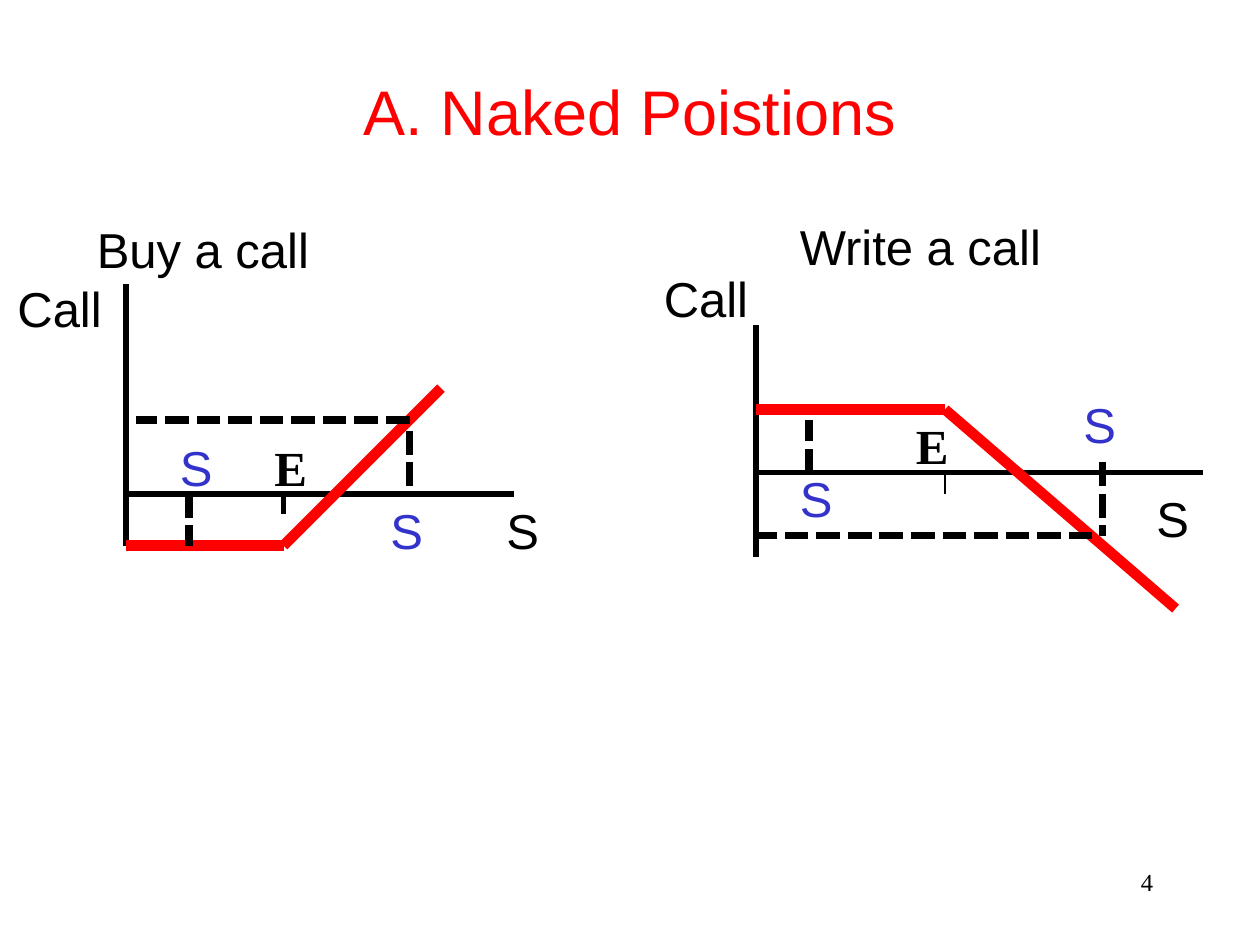
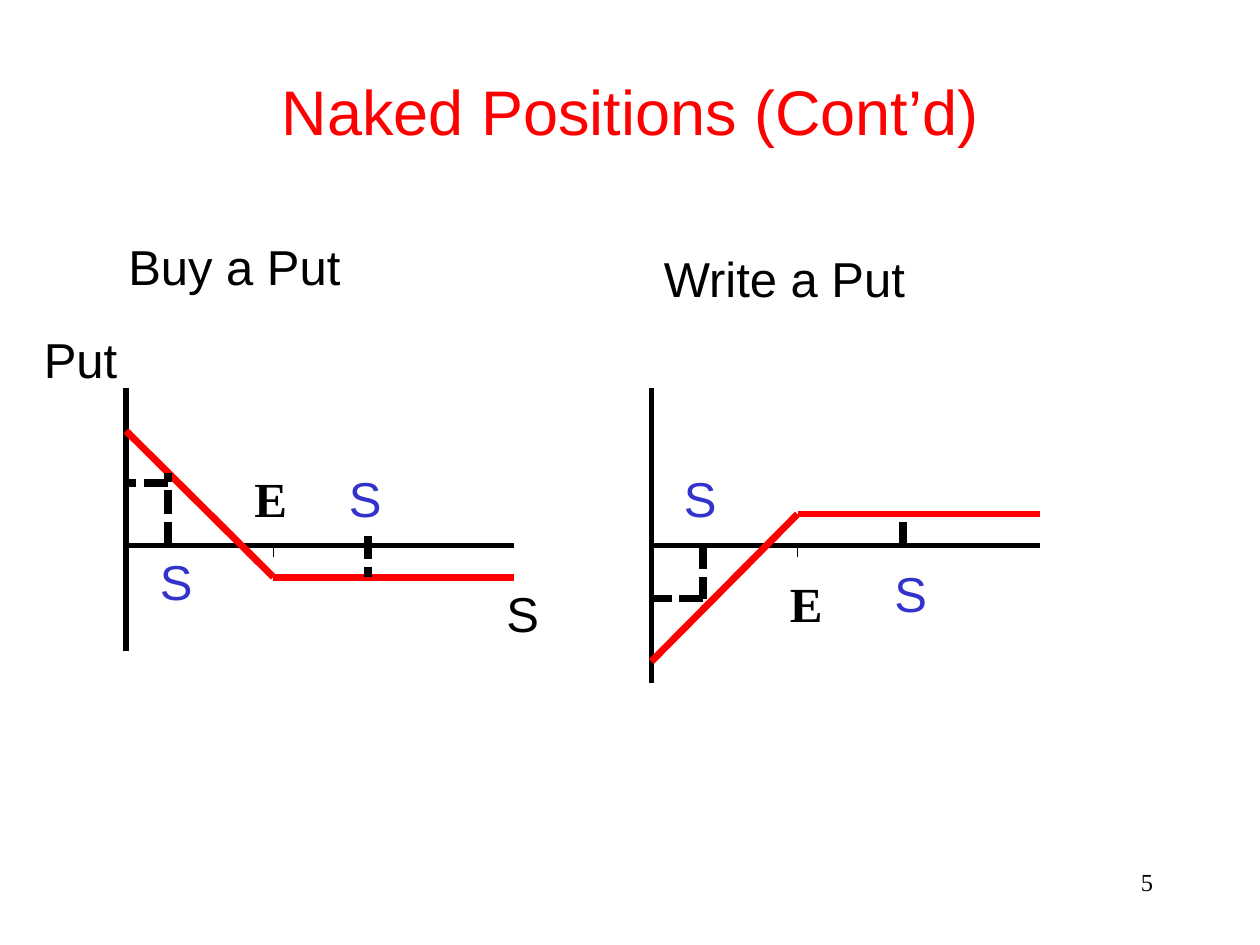
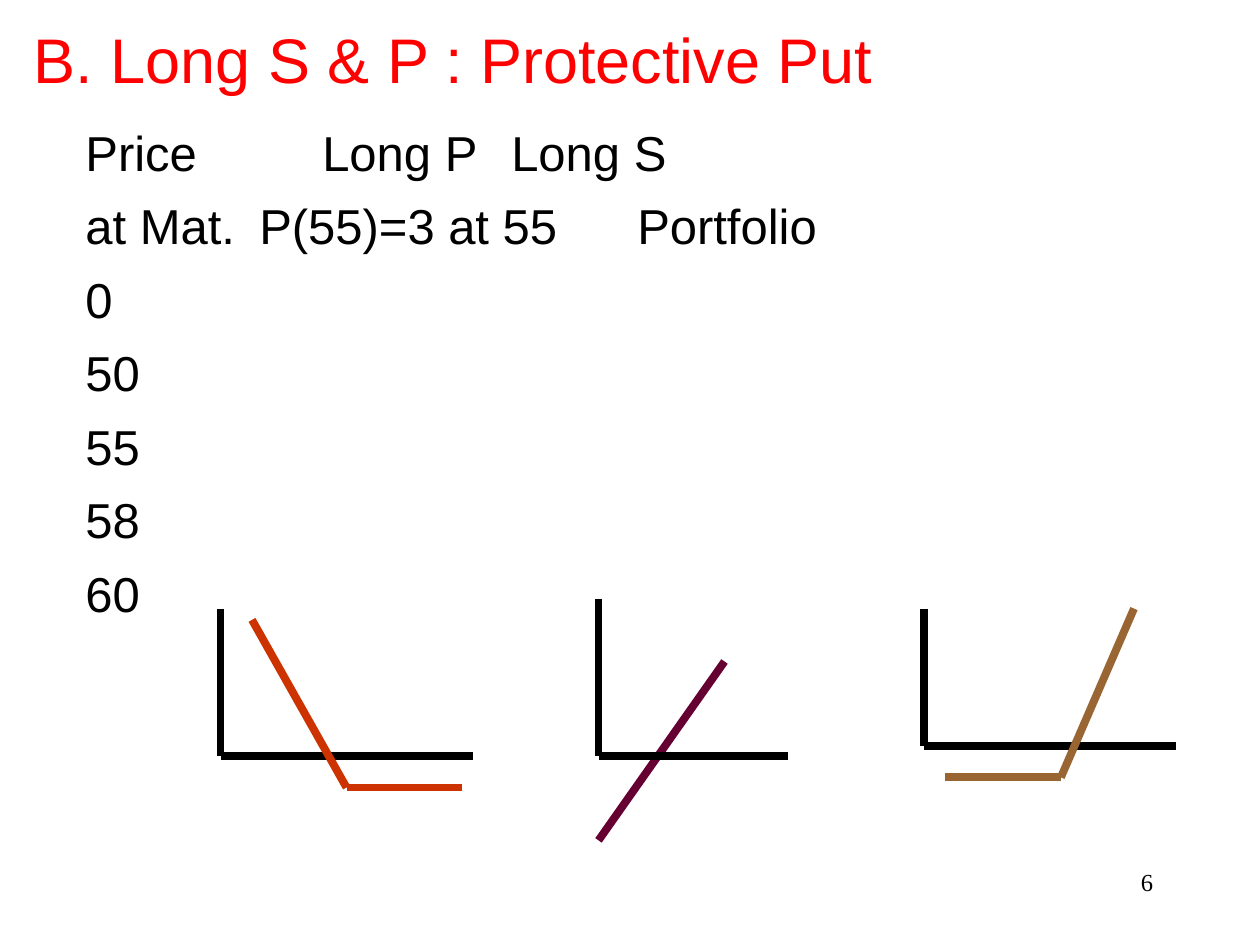
from dataclasses import dataclass
from itertools import pairwise

from lxml.etree import SubElement
from pptx import Presentation
from pptx.dml.color import RGBColor
from pptx.enum.dml import MSO_LINE
from pptx.enum.shapes import MSO_CONNECTOR
from pptx.enum.text import MSO_ANCHOR, PP_ALIGN
from pptx.oxml.ns import qn
from pptx.slide import Slide
from pptx.util import Inches, Pt

BLACK = RGBColor(0x00, 0x00, 0x00)
RED = RGBColor(0xFF, 0x00, 0x00)
BLUE = RGBColor(0x33, 0x33, 0xCC)
RUST = RGBColor(0xCC, 0x33, 0x00)
PLUM = RGBColor(0x66, 0x00, 0x33)
BROWN = RGBColor(0x99, 0x66, 0x33)

SANS = "Arial"
SERIF = "Times New Roman"
TITLE_SIZE = 36
BODY_SIZE = 28
NUMBER_SIZE = 14
LABEL_HEIGHT = 0.57
TITLE_BOX = (0.75, 0.25, 8.5, 1.25)
NUMBER_BOX = (7.17, 6.83, 2.08, 0.5)

Point = tuple[float, float]
Box = tuple[float, float, float, float]


@dataclass(frozen=True)
class Stroke:
    points: tuple[Point, ...]
    colour: RGBColor = BLACK
    width: float = 3
    dotted: bool = False


@dataclass(frozen=True)
class Label:
    text: str
    left: float
    top: float
    width: float
    colour: RGBColor = BLACK
    font: str = SANS
    bold: bool = False


@dataclass(frozen=True)
class PayoffSlide:
    title: str
    strokes: tuple[Stroke, ...]
    labels: tuple[Label, ...] = ()
    title_box: Box = TITLE_BOX
    title_align: PP_ALIGN = PP_ALIGN.CENTER
    rows: tuple[str, ...] = ()


def axis(*points: Point) -> Stroke:
    return Stroke(points)


def thick_axis(*points: Point) -> Stroke:
    return Stroke(points, width=4.5)


def tick(*points: Point) -> Stroke:
    return Stroke(points, width=1)


def guide(*points: Point) -> Stroke:
    return Stroke(points, width=4.5, dotted=True)


def payoff(width: float, *points: Point, colour: RGBColor = RED) -> Stroke:
    return Stroke(points, colour, width)


def strike(left: float, top: float, width: float) -> Label:
    return Label("E", left, top, width, font=SERIF, bold=True)


def spot(left: float, top: float, width: float = 0.67) -> Label:
    return Label("S", left, top, width, BLUE)


def draw_stroke(slide: Slide, stroke: Stroke) -> None:
    for start, end in pairwise(stroke.points):
        segment = slide.shapes.add_connector(
            MSO_CONNECTOR.STRAIGHT, *(Inches(value) for value in start + end)
        )
        SubElement(segment._element.spPr, qn("a:effectLst"))
        segment.line.color.rgb = stroke.colour
        segment.line.width = Pt(stroke.width)
        if stroke.dotted:
            segment.line.dash_style = MSO_LINE.SQUARE_DOT


def add_tab_stops(paragraph) -> None:
    properties = paragraph._p.get_or_add_pPr()
    properties.set("marL", str(Inches(0.38)))
    properties.set("indent", str(-Inches(0.38)))
    SubElement(properties, qn("a:buNone"))
    stops = SubElement(properties, qn("a:tabLst"))
    for inch in range(8):
        SubElement(stops, qn("a:tab"), pos=str(Inches(inch)), algn="l")


def draw_text(
    slide: Slide,
    lines: tuple[str, ...],
    box: Box,
    size: float = BODY_SIZE,
    colour: RGBColor = BLACK,
    font: str = SANS,
    bold: bool = False,
    align: PP_ALIGN = PP_ALIGN.LEFT,
    anchor: MSO_ANCHOR = MSO_ANCHOR.TOP,
    tabbed: bool = False,
) -> None:
    frame = slide.shapes.add_textbox(*(Inches(value) for value in box)).text_frame
    frame.word_wrap = True
    frame.vertical_anchor = anchor
    for index, line in enumerate(lines):
        paragraph = frame.add_paragraph() if index else frame.paragraphs[0]
        if tabbed:
            add_tab_stops(paragraph)
        if index:
            paragraph.space_before = Pt(8.4)
        paragraph.alignment = align
        run = paragraph.add_run()
        run.text = line
        run.font.size = Pt(size)
        run.font.name = font
        run.font.bold = bold
        run.font.color.rgb = colour


def draw_slide(slide: Slide, content: PayoffSlide, number: int) -> None:
    draw_text(slide, (str(number),), NUMBER_BOX, NUMBER_SIZE, font=SERIF,
              align=PP_ALIGN.RIGHT)
    draw_text(slide, (content.title,), content.title_box, TITLE_SIZE, RED,
              align=content.title_align, anchor=MSO_ANCHOR.MIDDLE)
    if content.rows:
        draw_text(slide, content.rows, (0.58, 0.92, 8.5, 4.5), tabbed=True)
    for stroke in content.strokes:
        draw_stroke(slide, stroke)
    for label in content.labels:
        draw_text(slide, (label.text,),
                  (label.left, label.top, label.width, LABEL_HEIGHT),
                  colour=label.colour, font=label.font, bold=label.bold)


CALLS = PayoffSlide(
    "A. Naked Poistions",
    strokes=(
        axis((1, 3.92), (4.08, 3.92)),
        axis((1, 4.33), (1, 2.25)),
        axis((6, 2.58), (6, 4.42)),
        axis((6, 3.75), (9.55, 3.75)),
        payoff(6, (1, 4.33), (2.25, 4.33), (3.5, 3.08)),
        payoff(6, (6, 3.25), (7.5, 3.25), (9.33, 4.83)),
        axis((2.25, 3.92), (2.25, 4.08)),
        tick((7.5, 3.75), (7.5, 3.92)),
        guide((1.5, 3.92), (1.5, 4.33)),
        guide((3.25, 3.42), (3.25, 3.92)),
        guide((3.25, 3.33), (1.08, 3.33)),
        guide((6.42, 3.75), (6.42, 3.33)),
        guide((8.75, 3.67), (8.75, 4.25)),
        guide((8.67, 4.25), (6, 4.25)),
    ),
    labels=(
        Label("Buy a call", 0.67, 1.69, 2.83),
        Label("Call", 0.04, 2.16, 1.25),
        Label("S", 3.92, 3.92, 0.58),
        strike(2.08, 3.42, 0.42),
        spot(3, 3.92, 0.5),
        spot(1.33, 3.42, 0.5),
        Label("Write a call", 6.25, 1.67, 2.83),
        Label("Call", 5.17, 2.08, 1.08),
        Label("S", 9.08, 3.83, 0.58),
        strike(7.17, 3.25, 0.42),
        spot(6.25, 3.67, 0.58),
        spot(8.5, 3.08, 0.58),
    ),
)

PUTS = PayoffSlide(
    "Naked Positions (Cont’d)",
    strokes=(
        axis((1, 4.33), (4.08, 4.33)),
        axis((1, 5.17), (1, 3.08)),
        axis((5.17, 4.33), (8.25, 4.33)),
        axis((5.17, 5.42), (5.17, 3.08)),
        payoff(4, (1, 3.42), (2.17, 4.58), (4.08, 4.58)),
        payoff(3, (6.33, 4.08), (8.25, 4.08)),
        payoff(4, (6.33, 4.08), (5.17, 5.25)),
        tick((2.17, 4.33), (2.17, 4.42)),
        tick((6.33, 4.33), (6.33, 4.42)),
        guide((1.33, 4.33), (1.33, 3.75)),
        guide((1.33, 3.83), (1, 3.83)),
        guide((2.92, 4.25), (2.92, 4.58)),
        guide((7.17, 4.33), (7.17, 4.08)),
        guide((5.58, 4.33), (5.58, 4.75), (5.17, 4.75)),
    ),
    labels=(
        Label("Buy a Put", 0.92, 1.83, 2.33),
        Label("Put", 0.25, 2.57, 0.92),
        Label("S", 3.92, 4.58, 0.67),
        strike(1.92, 3.67, 0.33),
        spot(1.17, 4.33),
        spot(2.67, 3.67),
        Label("Write a Put", 5.17, 1.92, 3.42),
        strike(6.17, 4.5, 0.33),
        spot(7, 4.42),
        spot(5.33, 3.67, 0.75),
    ),
)

PROTECTIVE_PUT = PayoffSlide(
    "B. Long S & P : Protective Put",
    title_box=(0.17, 0, 9.17, 0.92),
    title_align=PP_ALIGN.LEFT,
    rows=(
        "Price\t\tLong P\tLong S",
        "at Mat.\tP(55)=3\tat 55\t\tPortfolio",
        "0", "50", "55", "58", "60",
    ),
    strokes=(
        thick_axis((1.75, 4.83), (1.75, 6), (3.75, 6)),
        payoff(4.5, (2, 4.92), (2.75, 6.25), (3.67, 6.25), colour=RUST),
        payoff(4.5, (5.75, 5.25), (4.75, 6.67), colour=PLUM),
        thick_axis((4.75, 4.75), (4.75, 6), (6.25, 6)),
        thick_axis((7.33, 4.83), (7.33, 5.92), (9.33, 5.92)),
        payoff(4.5, (7.5, 6.17), (8.42, 6.17), (9, 4.83), colour=BROWN),
    ),
)


def main() -> None:
    deck = Presentation()
    deck.slide_width = Inches(10)
    deck.slide_height = Inches(7.5)
    for number, content in enumerate((CALLS, PUTS, PROTECTIVE_PUT), start=4):
        draw_slide(deck.slides.add_slide(deck.slide_layouts[6]), content, number)
    deck.save("out.pptx")


if __name__ == "__main__":
    main()
